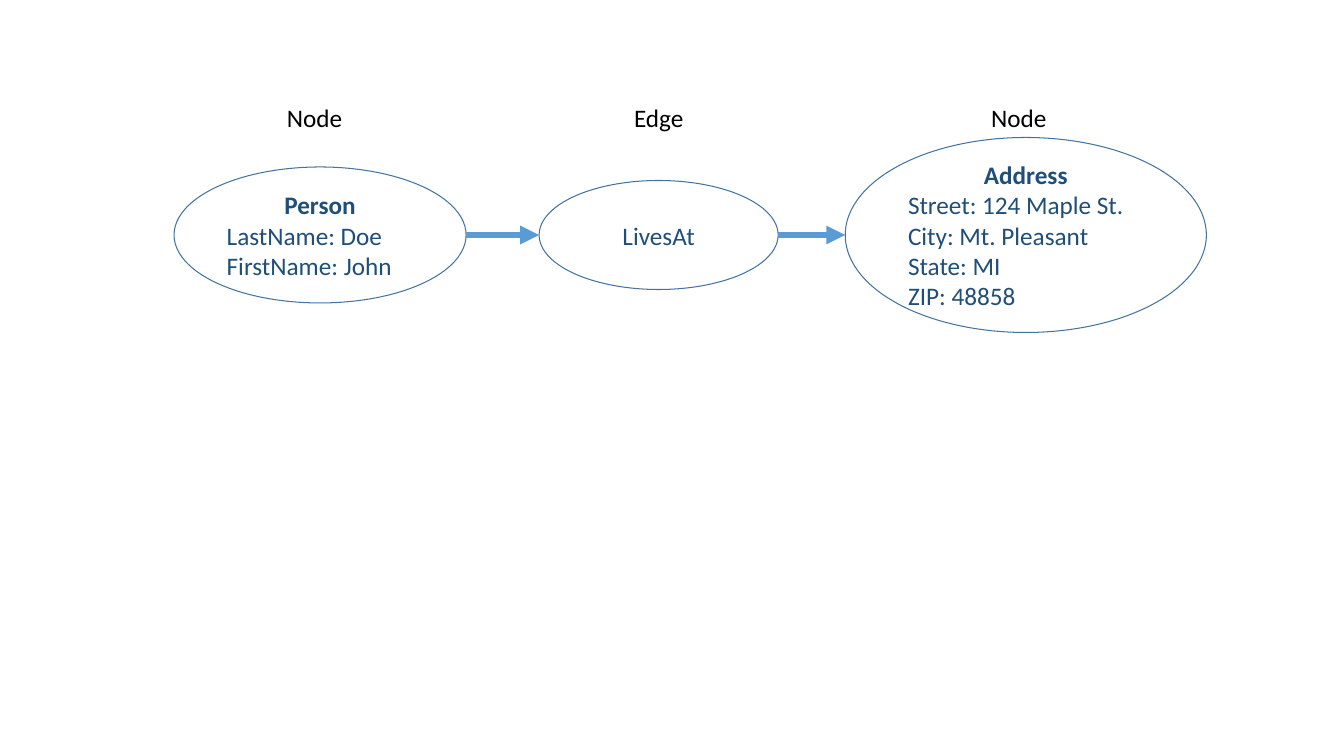
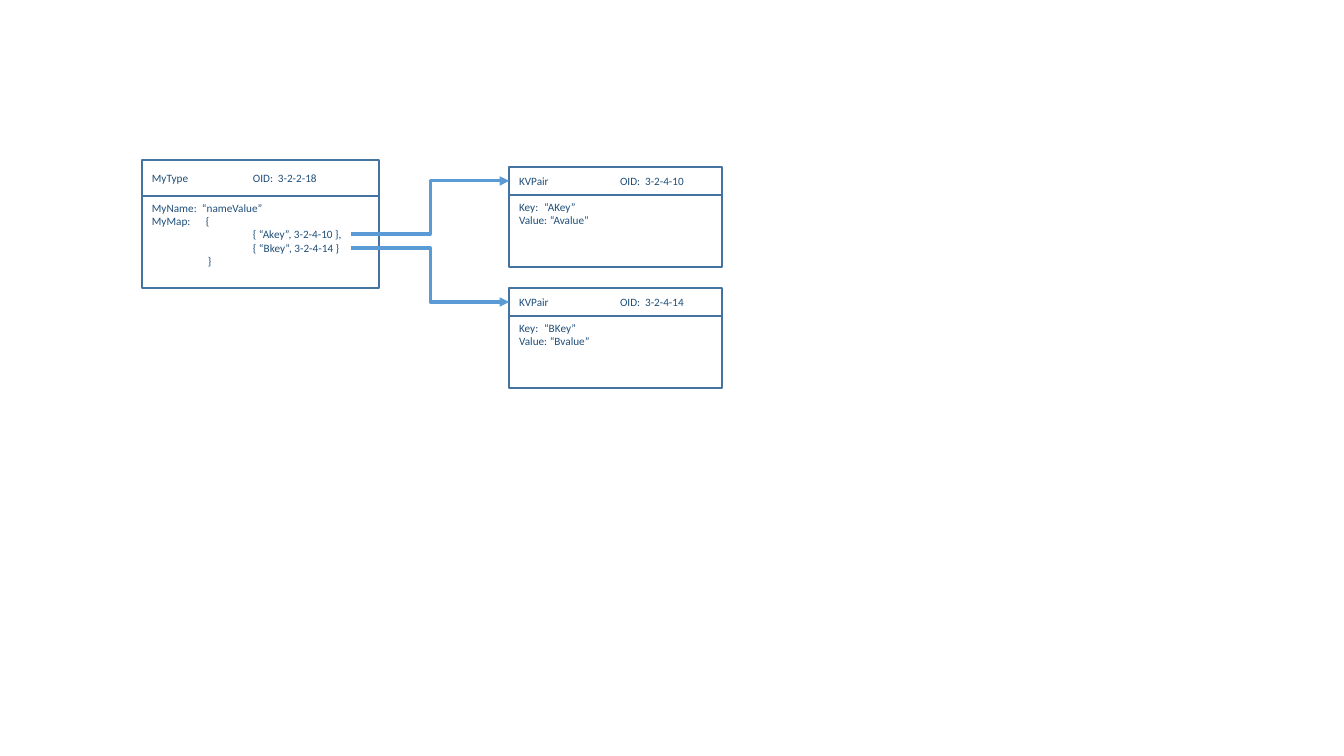
import pptx
import pptx.util
import pptx.dml.color
import pptx.enum.shapes
import pptx.enum.text
import pptx.oxml.ns
from lxml import etree

# Content: graph slide (lengths in pixels)
NODES = [  # label, label left, label width, ellipse left, width, height, heading, lines
    ("Node", 277, 77, 174, 292, 136, "Person", ["LastName: Doe", "FirstName: John"]),
    ("Edge", 624, 71, 539, 239, 109, None, ["LivesAt"]),
    ("Node", 981, 77, 845, 361, 195, "Address",
     ["Street: 124 Maple St.", "City: Mt. Pleasant", "State: MI", "ZIP: 48858"]),
]
LABEL_TOP, LABEL_H, AXIS_Y = 97, 40, 235

# Content: object slide; each line is (text, tab stops, indent)
OID_STOPS = (101, 126)
OWNER = dict(left=142, top=160, width=237, head_h=36, body_h=92,
             head="MyType\tOID:\t3-2-2-18",
             body=[("MyName:\t“nameValue”", (50,), 0),
                   ("MyMap:\t{", (54,), 0),
                   ("{ “Akey”, 3-2-4-10 },", (), 101),
                   ("{ “Bkey”, 3-2-4-14 }", (), 101),
                   ("}", (), 56)])
PAIRS = [("A", "3-2-4-10", 167, 234), ("B", "3-2-4-14", 288, 248)]  # key, OID, top, entry y
PAIR_LEFT, PAIR_W, PAIR_HEAD_H, PAIR_BODY_H = 509, 213, 28, 72
ENTRY_RIGHT = 351

COLORS = {"outline": "43739E", "text": "1F4E79", "arrow": "5B9BD5", "label": "000000"}
FONT = "Calibri"
SHAPE = pptx.enum.shapes.MSO_SHAPE
LINE = pptx.enum.shapes.MSO_CONNECTOR
ANCHOR = pptx.enum.text.MSO_ANCHOR
ALIGN = pptx.enum.text.PP_ALIGN
qn = pptx.oxml.ns.qn


def px(n):
    return pptx.util.Emu(round(n * 914400 / 100.8))


def rgb(name):
    return pptx.dml.color.RGBColor.from_string(COLORS[name])


def write(tf, text, size=18, color="text", bold=False, align=ALIGN.LEFT, stops=(), indent=0):
    """Fill the first paragraph if it is empty, otherwise add one."""
    p = tf.paragraphs[0] if not tf.text else tf.add_paragraph()
    p.alignment = align
    r = p.add_run()
    r.text = text
    r.font.name, r.font.size, r.font.bold = FONT, pptx.util.Pt(size), bold
    r.font.color.rgb = rgb(color)
    pPr = p._p.get_or_add_pPr()
    if indent:
        pPr.set("marL", str(px(indent)))
    if stops:
        tabs = etree.SubElement(pPr, qn("a:tabLst"))
        for stop in stops:
            etree.SubElement(tabs, qn("a:tab"), pos=str(px(stop)), algn="l")


def outlined(shapes, kind, left, top, width, height, line_pt, anchor=ANCHOR.MIDDLE):
    sp = shapes.add_shape(kind, px(left), px(top), px(width), px(height))
    sp.shadow.inherit = False
    sp.fill.background()
    sp.line.color.rgb = rgb("outline")
    sp.line.width = pptx.util.Pt(line_pt)
    sp.text_frame.word_wrap = True
    sp.text_frame.vertical_anchor = anchor
    return sp.text_frame


def arrow(shapes, kind, x1, y1, x2, y2, width):
    cxn = shapes.add_connector(kind, px(x1), px(y1), px(x2), px(y2))
    cxn.line.color.rgb = rgb("arrow")
    cxn.line.width = pptx.util.Pt(width)
    etree.SubElement(cxn.line._get_or_add_ln(), qn("a:tailEnd"), type="triangle")
    etree.SubElement(cxn._element.spPr, qn("a:effectLst"))


def record(shapes, left, top, width, head_h, body_h, head, body):
    tf = outlined(shapes, SHAPE.RECTANGLE, left, top + head_h, width, body_h, 1.5, ANCHOR.TOP)
    for text, stops, indent in body:
        write(tf, text, size=8, stops=stops, indent=indent)
    tf = outlined(shapes, SHAPE.RECTANGLE, left, top, width, head_h, 1.5)
    write(tf, head, size=8, stops=OID_STOPS)


prs = pptx.Presentation()
prs.slide_width, prs.slide_height = pptx.util.Inches(13.33), pptx.util.Inches(7.5)
blank = prs.slide_layouts[6]

# Graph slide: ellipses centred on one axis, with labels above
s = prs.slides.add_slide(blank)
for label, label_left, label_w, left, width, height, heading, lines in NODES:
    tf = outlined(s.shapes, SHAPE.OVAL, left, AXIS_Y - height / 2, width, height, 0.75)
    if heading:
        write(tf, heading, bold=True, align=ALIGN.CENTER)
    for text in lines:
        write(tf, text, align=ALIGN.LEFT if heading else ALIGN.CENTER)
    tb = s.shapes.add_textbox(px(label_left), px(LABEL_TOP), px(label_w), px(LABEL_H))
    tb.text_frame.word_wrap = False
    tb.text_frame.auto_size = pptx.enum.text.MSO_AUTO_SIZE.SHAPE_TO_FIT_TEXT
    write(tb.text_frame, label, color="label")
for source, target in zip(NODES, NODES[1:]):
    arrow(s.shapes, LINE.STRAIGHT, source[3] + source[4], AXIS_Y, target[3], AXIS_Y, 4.5)

# Object slide: the owner's map entries point at their key-value pairs
s = prs.slides.add_slide(blank)
group = s.shapes.add_group_shape().shapes
for key, oid, top, entry_y in PAIRS:
    record(group, PAIR_LEFT, top, PAIR_W, PAIR_HEAD_H, PAIR_BODY_H, f"KVPair\tOID:\t{oid}",
           [(f"Key:\t“{key}Key”", (25,), 0), (f"Value: “{key}value”", (), 0)])
record(group, **OWNER)
for key, oid, top, entry_y in PAIRS:
    arrow(group, LINE.ELBOW, ENTRY_RIGHT, entry_y, PAIR_LEFT, top + PAIR_HEAD_H / 2, 2.25)

prs.save("out.pptx")
